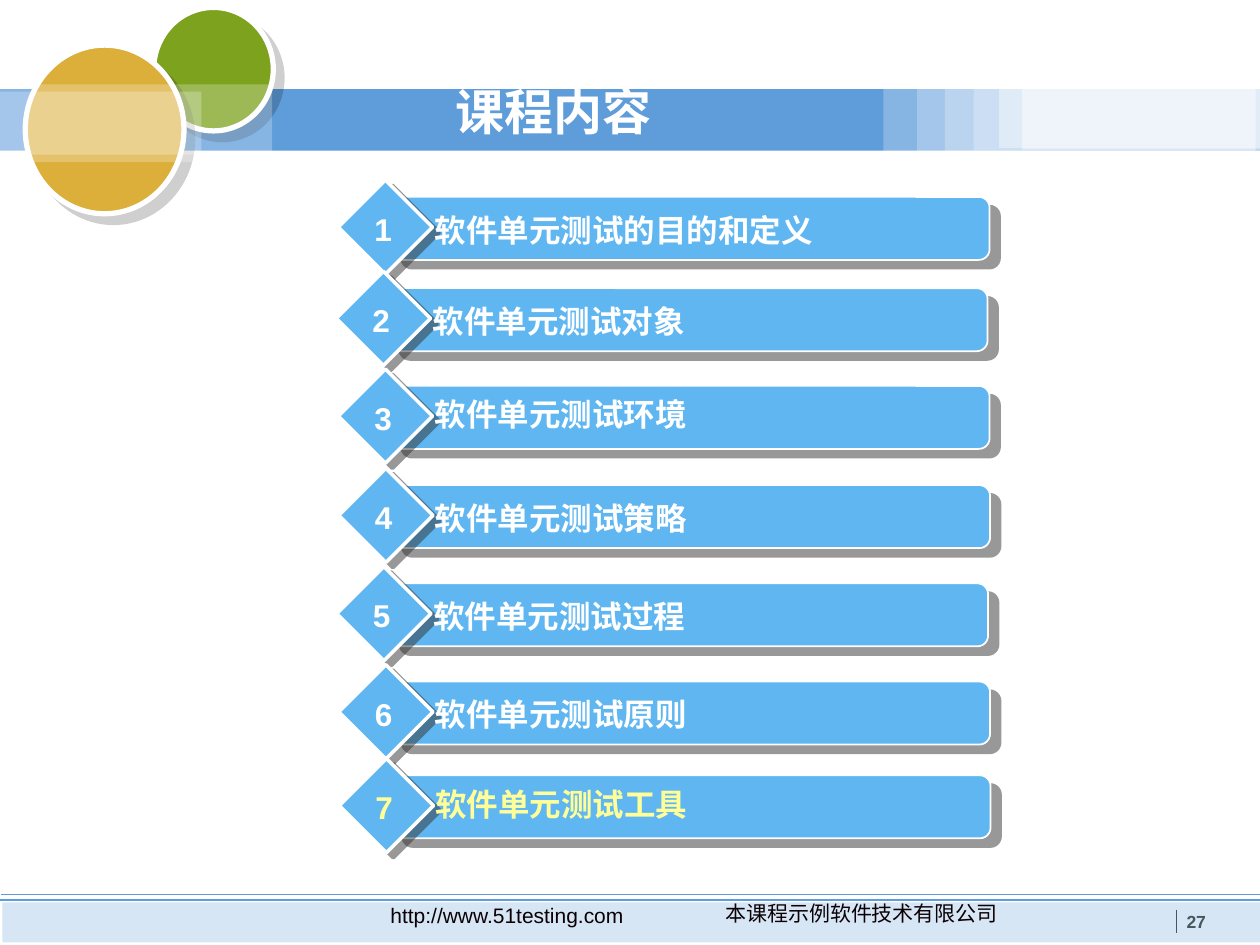
from lxml import etree
from pptx import Presentation
from pptx.dml.color import RGBColor
from pptx.enum.shapes import MSO_CONNECTOR, MSO_SHAPE
from pptx.enum.text import MSO_ANCHOR, MSO_AUTO_SIZE, PP_ALIGN
from pptx.oxml.ns import qn
from pptx.util import Cm, Pt

RECTANGLE, ELLIPSE = MSO_SHAPE.RECTANGLE, MSO_SHAPE.OVAL
ROUNDED, DIAMOND = MSO_SHAPE.ROUNDED_RECTANGLE, MSO_SHAPE.DIAMOND
STRAIGHT = MSO_CONNECTOR.STRAIGHT
TOP, MIDDLE = MSO_ANCHOR.TOP, MSO_ANCHOR.MIDDLE
GROW, FIXED = MSO_AUTO_SIZE.SHAPE_TO_FIT_TEXT, MSO_AUTO_SIZE.NONE
LEFT, CENTER = PP_ALIGN.LEFT, PP_ALIGN.CENTER

WHITE, BLUE, SKY, SLATE = "FFFFFF", "5E9CDA", "5FB6F1", "4A565E"
INK, YELLOW = "0B0104", "FFFF99"

BANNER_FADES = [
    (17.81, 1.73, 7.49, 1.42, 25),
    (18.49, 1.78, 6.91, 1.45, 25),
    (19.05, 1.75, 6.35, 1.45, 25),
    (19.63, 1.8, 5.69, 1.24, 25),
    (20.14, 1.75, 5.26, 1.24, 40),
    (20.6, 1.78, 4.8, 1.24, 48),
]
CIRCLE_FADES = [(0, 1.7, 5.49, 1.42, 25), (0, 1.85, 4.06, 1.42, 25)]
TOPICS = [
    ("软件单元测试的目的和定义", 7.88, 3.97, 1.0),
    ("软件单元测试对象", 7.84, 5.81, 1.0),
    ("软件单元测试环境", 7.88, 7.78, 0.9),
    ("软件单元测试策略", 7.89, 9.78, 1.0),
    ("软件单元测试过程", 7.85, 11.76, 1.0),
    ("软件单元测试原则", 7.89, 13.74, 1.0),
    ("软件单元测试工具", 7.9, 15.63, 0.9),
]


def color(value):
    """Turn a hex string into a colour."""
    return RGBColor.from_string(value)


def add_figure(shapes, kind, left, top, width, height, fill,
               opacity=100, outline=None, shadow=None):
    """Draw a filled preset shape with optional outline and shadow."""
    figure = shapes.add_shape(kind, Cm(left), Cm(top), Cm(width), Cm(height))
    figure.shadow.inherit = False
    figure.fill.solid()
    figure.fill.fore_color.rgb = color(fill)
    properties = figure._element.spPr
    if opacity < 100:
        tint = properties.find(".//" + qn("a:srgbClr"))
        etree.SubElement(tint, qn("a:alpha"), val=str(opacity * 1000))
    if outline:
        figure.line.color.rgb = color(WHITE)
        figure.line.width = Pt(outline)
    else:
        figure.line.fill.background()
    if shadow:
        add_shadow(properties, *shadow)
    return figure


def add_shadow(properties, tint, opacity, distance, angle):
    """Add a hard-edged outer shadow."""
    effects = properties.find(qn("a:effectLst"))
    outer = etree.SubElement(
        effects, qn("a:outerShdw"), blurRad="0", dist=str(Pt(distance)),
        dir=str(angle * 60000), algn="ctr", rotWithShape="0")
    shade = etree.SubElement(outer, qn("a:srgbClr"), val=tint)
    etree.SubElement(shade, qn("a:alpha"), val=str(opacity * 1000))


def add_rule(shapes, start_x, start_y, end_x, end_y, tint):
    """Draw a thin straight line."""
    rule = shapes.add_connector(
        STRAIGHT, Cm(start_x), Cm(start_y), Cm(end_x), Cm(end_y))
    rule.line.color.rgb = color(tint)
    rule.line.width = Pt(0.75)
    etree.SubElement(rule._element.spPr, qn("a:effectLst"))


def add_text(shapes, text, left, top, width, height, size=18, tint=WHITE,
             bold=True, align=LEFT, anchor=TOP, spacing=1.0, wrap=True,
             fit=GROW):
    """Place one line of formatted text."""
    box = shapes.add_textbox(Cm(left), Cm(top), Cm(width), Cm(height))
    frame = box.text_frame
    frame.word_wrap = wrap
    frame.auto_size = fit
    frame.vertical_anchor = anchor
    para = frame.paragraphs[0]
    para.alignment = align
    para.line_spacing = spacing
    span = para.add_run()
    span.text = text
    span.font.name = "Arial"
    span.font.size = Pt(size)
    span.font.bold = bold
    span.font.color.rgb = color(tint)


def add_fades(shapes, fades):
    """Lay translucent white panels over the banner."""
    for left, top, width, height, opacity in fades:
        add_figure(shapes, RECTANGLE, left, top, width, height, WHITE, opacity)


def add_header(shapes):
    """Draw the banner, its circles and the title."""
    circle_shadow = ("000000", 19, 7.1, 45)
    add_figure(shapes, RECTANGLE, 0, 1.8, 25.4, 1.24, BLUE)
    add_figure(shapes, ELLIPSE, 3.1, 0.15, 2.41, 2.49, "7CA21E",
               outline=3, shadow=circle_shadow)
    add_fades(shapes, BANNER_FADES)
    add_figure(shapes, ELLIPSE, 0.51, 0.91, 3.2, 3.4, "DCAE3A",
               outline=3, shadow=circle_shadow)
    add_fades(shapes, CIRCLE_FADES)
    add_text(shapes, "课程内容", 8.94, 0.99, 6.27, 2.64, size=28,
             anchor=MIDDLE, spacing=0.9, fit=FIXED)


def add_footer(shapes):
    """Draw the footer band, its rules and texts."""
    add_figure(shapes, RECTANGLE, 0.05, 18.19, 25.35, 0.81, BLUE, 25)
    add_rule(shapes, 0.03, 18.03, 25.43, 18.03, BLUE)
    add_rule(shapes, 0, 18.14, 25.4, 18.14, BLUE)
    add_rule(shapes, 23.72, 18.34, 23.72, 18.8, SLATE)
    add_text(shapes, "本课程示例软件技术有限公司", 12.9, 18.03, 8.94, 0.76,
             size=12, tint=INK, bold=False, align=CENTER)
    add_text(shapes, "http://www.51testing.com", 6.07, 18.06, 8.31, 0.76,
             size=12, tint=INK, bold=False, align=CENTER)
    add_text(shapes, "27", 23.67, 18.24, 1.22, 0.69, size=10, tint=SLATE)


def add_topic(shapes, number, text, left, top, spacing, tint):
    """Group a topic bar with its numbered diamond."""
    parts = shapes.add_group_shape().shapes
    bar = add_figure(parts, ROUNDED, left, top, 12.07, 1.27, SKY,
                     outline=1, shadow=("333333", 50, 7.8, 40))
    bar.adjustments[0] = 0.17
    add_figure(parts, DIAMOND, left - 1.06, top - 0.34, 1.9, 1.9, SKY,
               outline=2, shadow=("333333", 50, 5, 37))
    add_text(parts, text, left + 0.63, top + 0.15, 9.53, 1.02,
             tint=tint, spacing=spacing)
    add_text(parts, str(number), left - 0.58, top + 0.14, 0.86, 1.02,
             tint=tint, wrap=False)


def main():
    """Build the course contents slide."""
    deck = Presentation()
    deck.slide_width, deck.slide_height = Cm(25.4), Cm(19.05)
    page = deck.slides.add_slide(deck.slide_layouts[6])
    add_header(page.shapes)
    add_footer(page.shapes)
    for number, (text, left, top, spacing) in enumerate(TOPICS, 1):
        tint = YELLOW if number == len(TOPICS) else WHITE
        add_topic(page.shapes, number, text, left, top, spacing, tint)
    deck.save("out.pptx")


if __name__ == "__main__":
    main()
